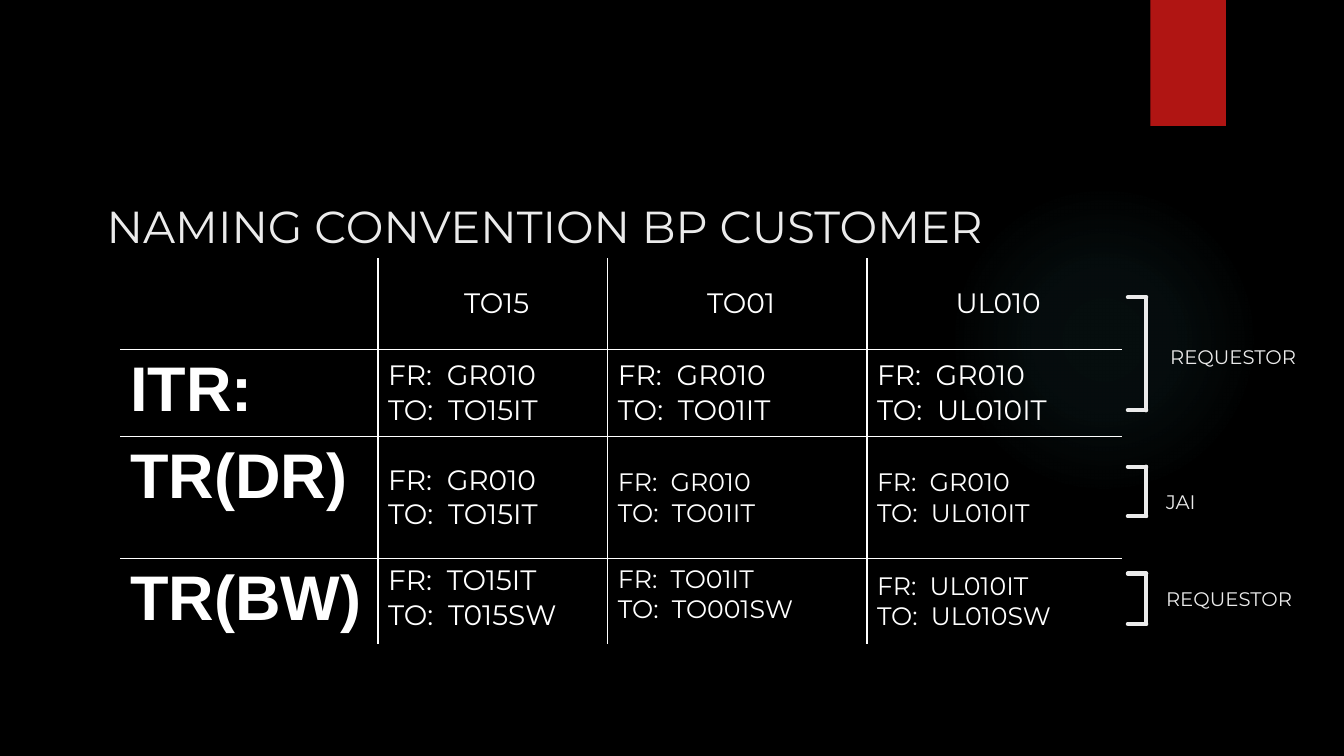
import pptx
import pptx.util
import pptx.dml.color
import pptx.enum.shapes
import pptx.enum.text
import pptx.oxml
import pptx.oxml.ns

SHAPE = pptx.enum.shapes.MSO_SHAPE
LINK = pptx.enum.shapes.MSO_CONNECTOR
ALIGN = pptx.enum.text.PP_ALIGN
ANCHOR = pptx.enum.text.MSO_ANCHOR
SPACE = 'xmlns:a="http://schemas.openxmlformats.org/drawingml/2006/main"'
PLAIN = "{2D5ABB26-0587-4C30-8999-92F81FD0307C}"


def color(code):
    return pptx.dml.color.RGBColor.from_string(code)


class Board:
    font = "Montserrat"
    heavy = "Arial"
    pale = "EBEBEB"
    white = "FFFFFF"

    def __init__(self, deck):
        self.wide = deck.slide_width
        self.high = deck.slide_height
        self.slide = deck.slides.add_slide(deck.slide_layouts[6])
        self.slide.background.fill.solid()
        self.slide.background.fill.fore_color.rgb = color("000000")

    def across(self, share):
        return round(self.wide * share / 100)

    def down(self, share):
        return round(self.high * share / 100)

    def box(self, left, top, width, height):
        return self.across(left), self.down(top), self.across(width), self.down(height)

    def shape(self, kind, area, fill):
        shape = self.slide.shapes.add_shape(kind, *self.box(*area))
        shape.shadow.inherit = False
        shape.line.fill.background()
        shape.fill.solid()
        shape.fill.fore_color.rgb = color(fill)
        return shape

    def glow(self, area, tint, stops):
        shape = self.shape(SHAPE.OVAL, area, tint)
        marks = "".join(
            f'<a:gs pos="{place * 1000}"><a:srgbClr val="{tint}">'
            f'<a:alpha val="{alpha * 1000}"/></a:srgbClr></a:gs>'
            for place, alpha in stops
        )
        blend = pptx.oxml.parse_xml(
            f'<a:gradFill {SPACE}><a:gsLst>{marks}</a:gsLst><a:path path="circle">'
            '<a:fillToRect l="50000" t="50000" r="50000" b="50000"/></a:path></a:gradFill>'
        )
        props = shape.element.spPr
        props.replace(props.find(pptx.oxml.ns.qn("a:solidFill")), blend)

    def fill(self, frame, lines, size, tint, font=None, bold=False, align=ALIGN.LEFT):
        frame.word_wrap = True
        for index, line in enumerate(lines):
            para = frame.paragraphs[0] if index == 0 else frame.add_paragraph()
            para.alignment = align
            run = para.add_run()
            run.text = line
            run.font.name = font or self.font
            run.font.size = pptx.util.Pt(size)
            run.font.bold = bold
            run.font.color.rgb = color(tint)

    def text(self, area, line, size, anchor=ANCHOR.TOP):
        frame = self.slide.shapes.add_textbox(*self.box(*area)).text_frame
        frame.vertical_anchor = anchor
        self.fill(frame, [line], size, self.pale)

    def line(self, start, end):
        link = self.slide.shapes.add_connector(
            LINK.STRAIGHT,
            self.across(start[0]), self.down(start[1]),
            self.across(end[0]), self.down(end[1]),
        )
        link.line.width = pptx.util.Pt(3)
        link.line.color.rgb = color(self.pale)
        props = link.element.spPr
        props.find(pptx.oxml.ns.qn("a:ln")).set("cap", "rnd")
        props.append(pptx.oxml.parse_xml(f"<a:effectLst {SPACE}/>"))

    def bracket(self, left, right, top, base):
        self.line((right, base), (right, top))
        for level in (top, base):
            self.line((left, level), (right, level))

    def border(self, cell, sides):
        props = cell._tc.get_or_add_tcPr()
        for side in sides:
            props.append(pptx.oxml.parse_xml(
                f'<a:ln{side} {SPACE} w="12700"><a:solidFill>'
                f'<a:srgbClr val="{self.white}"/></a:solidFill></a:ln{side}>'
            ))
        cell.fill.background()

    def table(self, left, top, widths, heights):
        area = self.box(left, top, sum(widths), sum(heights))
        frame = self.slide.shapes.add_table(len(heights), len(widths), *area)
        table = frame.table
        table.first_row = table.horz_banding = False
        table._tbl.tblPr.find(pptx.oxml.ns.qn("a:tableStyleId")).text = PLAIN
        for column, width in zip(table.columns, widths):
            column.width = self.across(width)
        for row, height in zip(table.rows, heights):
            row.height = self.down(height)
        for r in range(len(heights)):
            for c in range(len(widths)):
                inner = {"L": c > 0, "R": c < len(widths) - 1,
                         "T": r > 0, "B": r < len(heights) - 1}
                self.border(table.cell(r, c), [side for side in inner if inner[side]])
        return table

    def cell(self, cell, lines, size, anchor=ANCHOR.MIDDLE, **style):
        cell.vertical_anchor = anchor
        self.fill(cell.text_frame, lines, size, self.white, **style)


HEADS = [" TO15", " TO01", " UL010"]
ROWS = [
    ("ITR:", [("GR010", "TO15IT", 20), ("GR010", "TO01IT", 20), ("GR010", "UL010IT", 20)]),
    ("TR(DR)", [("GR010", "TO15IT", 20), ("GR010", "TO01IT", 18), ("GR010", "UL010IT", 18)]),
    ("TR(BW)", [("TO15IT", "T015SW", 20), ("TO01IT", "TO001SW", 18), ("UL010IT", "UL010SW", 18)]),
]
OWNERS = [
    ("REQUESTOR", 86.32, 44.93, 39.33, 54.27),
    ("JAI", 86.02, 64.13, 61.73, 68.27),
    ("REQUESTOR", 86.02, 76.93, 75.87, 82.53),
]


def main():
    deck = pptx.Presentation()
    deck.slide_width = pptx.util.Inches(13.33)
    deck.slide_height = pptx.util.Inches(7.5)
    board = Board(deck)
    board.glow((70.58, 24.4, 23.1, 41.07), "50B9C1", [(0, 7), (36, 6), (69, 0), (100, 0)])
    board.shape(SHAPE.RECTANGLE, (85.6, 0, 5.62, 16.67), "B01513")
    board.text((7.2, 24.13, 87.2, 9.87), "NAMING CONVENTION BP CUSTOMER", 32, ANCHOR.BOTTOM)

    table = board.table(8.93, 34.13, [19.2, 17.1, 19.28, 18.98], [12.05, 11.6, 16.13, 10.67])
    for c, head in enumerate(HEADS, 1):
        board.cell(table.cell(0, c), [head], 20, align=ALIGN.CENTER)
    for r, (name, pairs) in enumerate(ROWS, 1):
        board.cell(table.cell(r, 0), [name], 45, ANCHOR.TOP, font=board.heavy, bold=True)
        for c, (start, end, size) in enumerate(pairs, 1):
            anchor = ANCHOR.TOP if r == 3 and c < 3 else ANCHOR.MIDDLE
            board.cell(table.cell(r, c), [f"FR:  {start}", f"TO:  {end}"], size, anchor)

    for owner, left, level, top, base in OWNERS:
        board.bracket(83.92, 85.28, top, base)
        board.text((left, level, 13.6, 8.27), owner, 14)
    deck.save("out.pptx")


if __name__ == "__main__":
    main()
